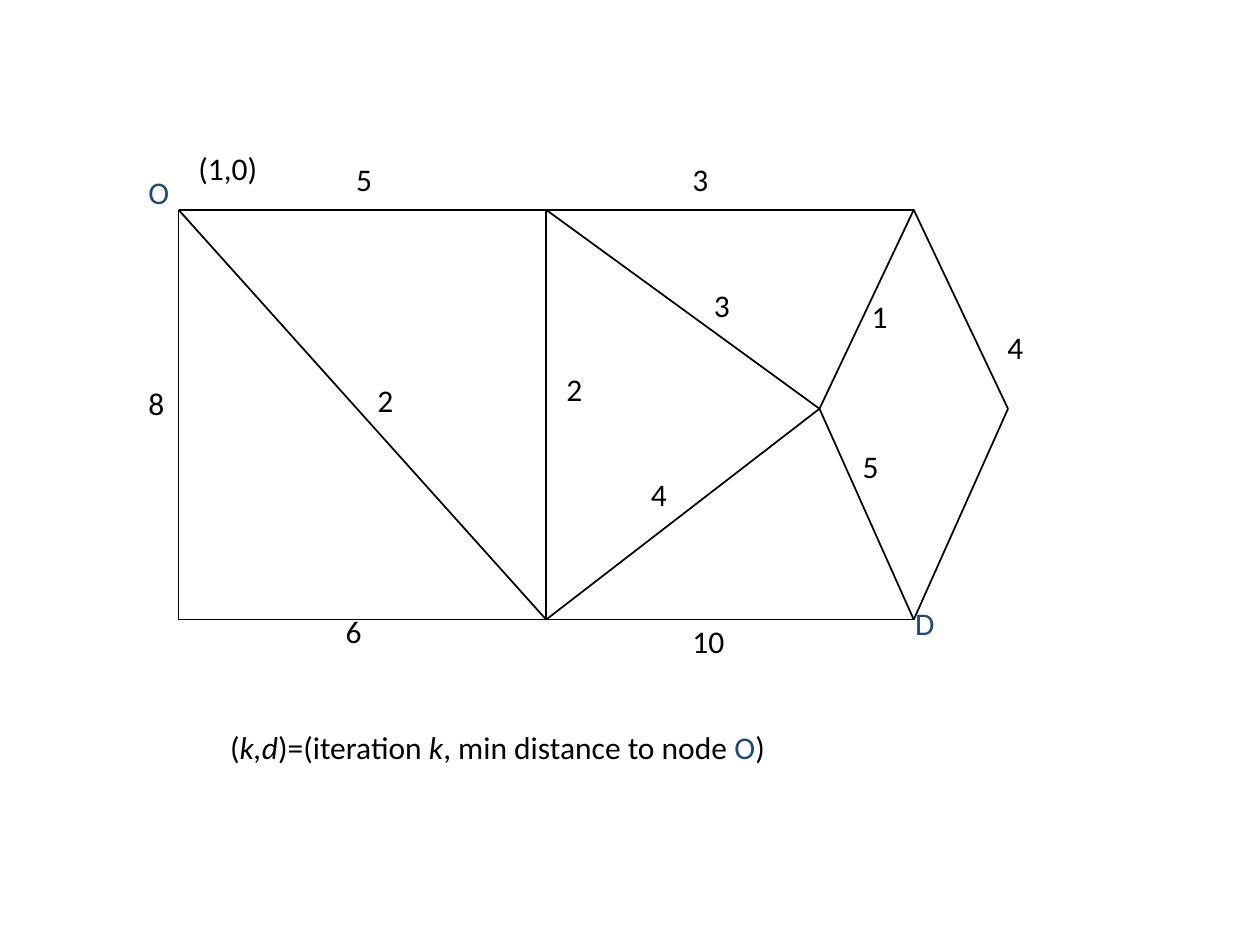
import pptx
import pptx.util
import pptx.dml.color
import pptx.enum.shapes
import pptx.enum.text
import pptx.oxml.ns
import lxml.etree

Cm = pptx.util.Cm
BLACK = pptx.dml.color.RGBColor(0x00, 0x00, 0x00)
NAVY = pptx.dml.color.RGBColor(0x1F, 0x49, 0x7D)
FONT = {"name": "Calibri", "size": pptx.util.Pt(18), "italic": False}
FRAME = {
    "word_wrap": True,
    "auto_size": pptx.enum.text.MSO_AUTO_SIZE.NONE,
    "vertical_anchor": pptx.enum.text.MSO_ANCHOR.TOP,
}


def apply(target, values):
    for key, value in values.items():
        setattr(target, key, value)


def add_text(slide, left, top, width, runs):
    box = slide.shapes.add_textbox(Cm(left), Cm(top), Cm(width), Cm(1.27))
    apply(box.text_frame, FRAME)
    para = box.text_frame.paragraphs[0]
    for text, color, style in runs:
        run = para.add_run()
        run.text = text
        apply(run.font, {**FONT, **style})
        run.font.color.rgb = color


def add_edge(slide, start, end):
    kind = pptx.enum.shapes.MSO_CONNECTOR.STRAIGHT
    edge = slide.shapes.add_connector(kind, *[Cm(n) for n in start + end])
    apply(edge.line, {"width": pptx.util.Pt(1)})
    edge.line.color.rgb = BLACK
    props = edge._element.spPr
    lxml.etree.SubElement(props, pptx.oxml.ns.qn("a:effectLst"))


def add_graph(slide, left, top, width, height):
    mid = left + width / 2
    right = left + width
    base = top + height
    level = top + 4.01
    reach = 1.9
    nodes = {
        "O": (left, top), "A": (mid, top), "B": (right, top),
        "C": (left, base), "E": (mid, base), "D": (right, base),
        "F": (right - reach, level), "G": (right + reach, level),
    }
    for start, end in "OB CD OC AE BF FD BG GD AF EF OE".split():
        add_edge(slide, nodes[start], nodes[end])

    labels = [
        ("5", 3.33, -1.12, 1, BLACK),
        ("3", 10.11, -1.12, 1, BLACK),
        ("8", -0.86, 3.38, 1, BLACK),
        ("6", 3.12, 7.98, 1, BLACK),
        ("2", 3.76, 3.33, 1, BLACK),
        ("2", 7.57, 3.1, 1, BLACK),
        ("3", 10.54, 1.42, 1, BLACK),
        ("4", 9.27, 5.23, 1, BLACK),
        ("10", 10.11, 8.18, 1.45, BLACK),
        ("1", 13.72, 1.63, 1, BLACK),
        ("5", 13.54, 4.65, 1, BLACK),
        ("4", 16.46, 2.26, 1, BLACK),
        ("O", -0.86, -0.86, 1.17, NAVY),
        ("D", 14.6, 7.82, 1.12, NAVY),
        ("(1,0)", 0.15, -1.35, 2.26, BLACK),
    ]
    for text, across, down, span, color in labels:
        add_text(slide, left + across, top + down, span, [(text, color, {})])


def add_legend(slide, left, top, width):
    slant = {"italic": True}
    add_text(slide, left, top, width, [
        ("(", BLACK, {}),
        ("k,d", BLACK, slant),
        (")=(iteration ", BLACK, {}),
        ("k", BLACK, slant),
        (", min distance to node ", BLACK, {}),
        ("O", NAVY, {}),
        (")", BLACK, {}),
    ])


def main():
    deck = pptx.Presentation()
    apply(deck, {"slide_width": Cm(25.4), "slide_height": Cm(19.05)})
    slide = deck.slides.add_slide(deck.slide_layouts[6])
    add_graph(slide, 3.6, 4.23, 14.82, 8.26)
    add_legend(slide, 4.39, 14.55, 16.1)
    deck.save("out.pptx")


if __name__ == "__main__":
    main()
